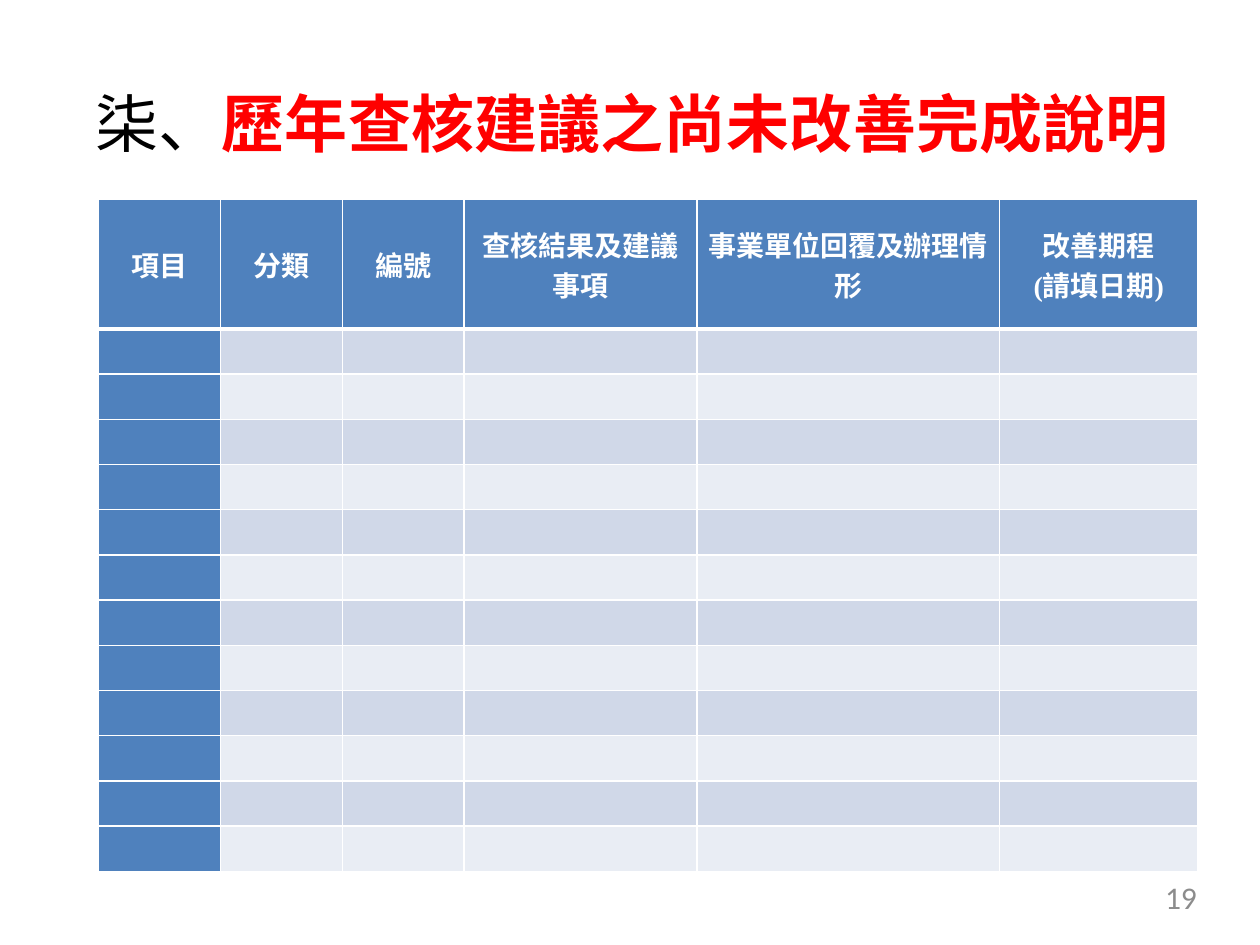
import pptx
import pptx.dml.color
import pptx.enum.text
import pptx.oxml
import pptx.oxml.ns
import pptx.util
from lxml import etree

Pt = pptx.util.Pt
ALIGN = pptx.enum.text.PP_ALIGN
ANCHOR = pptx.enum.text.MSO_ANCHOR
CJK_FONT = "Noto Sans CJK SC"

HEADINGS = ["項目", "分類", "編號", "查核結果及建議事項", "事業單位回覆及辦理情形",
            "改善期程\n(請填日期)"]
COLUMN_WIDTHS = [69.6, 69.6, 69.6, 133.2, 172.8, 113.4]
HEADER_HEIGHT, ROW_HEIGHT, BODY_ROWS = 74, 25.83, 12


def rgb(value):
    return pptx.dml.color.RGBColor.from_string(value)


class SlideBuilder:
    """Holds the style and the current slide."""
    accent = "4F81BD"
    bands = ("D0D8E8", "E9EDF4")
    rule = "FFFFFF"

    def __init__(self, slide):
        self.slide = slide

    def style_run(self, run, font, size, color, bold=False, spacing=None):
        run.font.name = font
        run.font.size = Pt(size)
        run.font.bold = bold
        run.font.color.rgb = rgb(color)
        properties = run.font._element
        east_asian = etree.SubElement(properties, pptx.oxml.ns.qn("a:ea"))
        east_asian.set("typeface", CJK_FONT)
        if spacing is not None:
            properties.set("spc", str(round(spacing * 100)))

    def text(self, left, top, width, height, parts, align=ALIGN.LEFT):
        """Add one line made of (wording, style) parts."""
        frame = self.slide.shapes.add_textbox(
            Pt(left), Pt(top), Pt(width), Pt(height)).text_frame
        frame.word_wrap = True
        frame.margin_left = frame.margin_right = 0
        frame.margin_top = frame.margin_bottom = 0
        line = frame.paragraphs[0]
        line.alignment = align
        for wording, style in parts:
            run = line.add_run()
            run.text = wording
            self.style_run(run, **style)

    def cell_borders(self, cell, top=1, bottom=1):
        properties = cell._tc.get_or_add_tcPr()
        for side, width in (("L", 1), ("R", 1), ("T", top), ("B", bottom)):
            properties.append(pptx.oxml.parse_xml(
                f'<a:ln{side} {pptx.oxml.ns.nsdecls("a")} w="{Pt(width)}">'
                f'<a:solidFill><a:srgbClr val="{self.rule}"/></a:solidFill>'
                f'</a:ln{side}>'))

    def cell(self, cell, fill, wording="", top=1, bottom=1):
        self.cell_borders(cell, top, bottom)
        cell.fill.solid()
        cell.fill.fore_color.rgb = rgb(fill)
        cell.margin_left = cell.margin_right = Pt(5)
        cell.margin_top = cell.margin_bottom = 0
        cell.vertical_anchor = ANCHOR.MIDDLE
        if not wording:
            return
        cell.text_frame.text = wording
        for paragraph in cell.text_frame.paragraphs:
            paragraph.alignment = ALIGN.CENTER
            for run in paragraph.runs:
                self.style_run(run, "Times New Roman", 16, "FFFFFF", bold=True)

    def table(self, left, top, headings, widths, header_height, row_height, body_rows):
        table = self.slide.shapes.add_table(
            body_rows + 1, len(headings), Pt(left), Pt(top), Pt(sum(widths)),
            Pt(header_height + body_rows * row_height)).table
        table.first_col = True
        for column, width in zip(table.columns, widths):
            column.width = Pt(width)
        for index, row in enumerate(table.rows):
            row.height = Pt(row_height if index else header_height)
            for position, cell in enumerate(row.cells):
                if index == 0:
                    self.cell(cell, self.accent, headings[position], bottom=3)
                else:
                    fill = self.bands[(index - 1) % 2] if position else self.accent
                    self.cell(cell, fill, top=3 if index == 1 else 1)


def main():
    presentation = pptx.Presentation()
    presentation.slide_width, presentation.slide_height = Pt(720), Pt(540)
    builder = SlideBuilder(presentation.slides.add_slide(presentation.slide_layouts[6]))

    # Title
    title = dict(font=CJK_FONT, size=36, spacing=0.1)
    builder.text(54.5, 48.2, 630, 44, [
        ("柒、", dict(title, color="000000")),
        ("歷年查核建議之尚未改善完成說明", dict(title, color="FF0000", bold=True)),
    ])

    # Table of open recommendations
    builder.table(56.4, 114, HEADINGS, COLUMN_WIDTHS, HEADER_HEIGHT, ROW_HEIGHT, BODY_ROWS)

    # Page number
    builder.text(518.4, 502, 165.6, 27,
                 [("19", dict(font="Calibri", size=18, color="8C8C8C"))], ALIGN.RIGHT)

    presentation.save("out.pptx")


if __name__ == "__main__":
    main()
